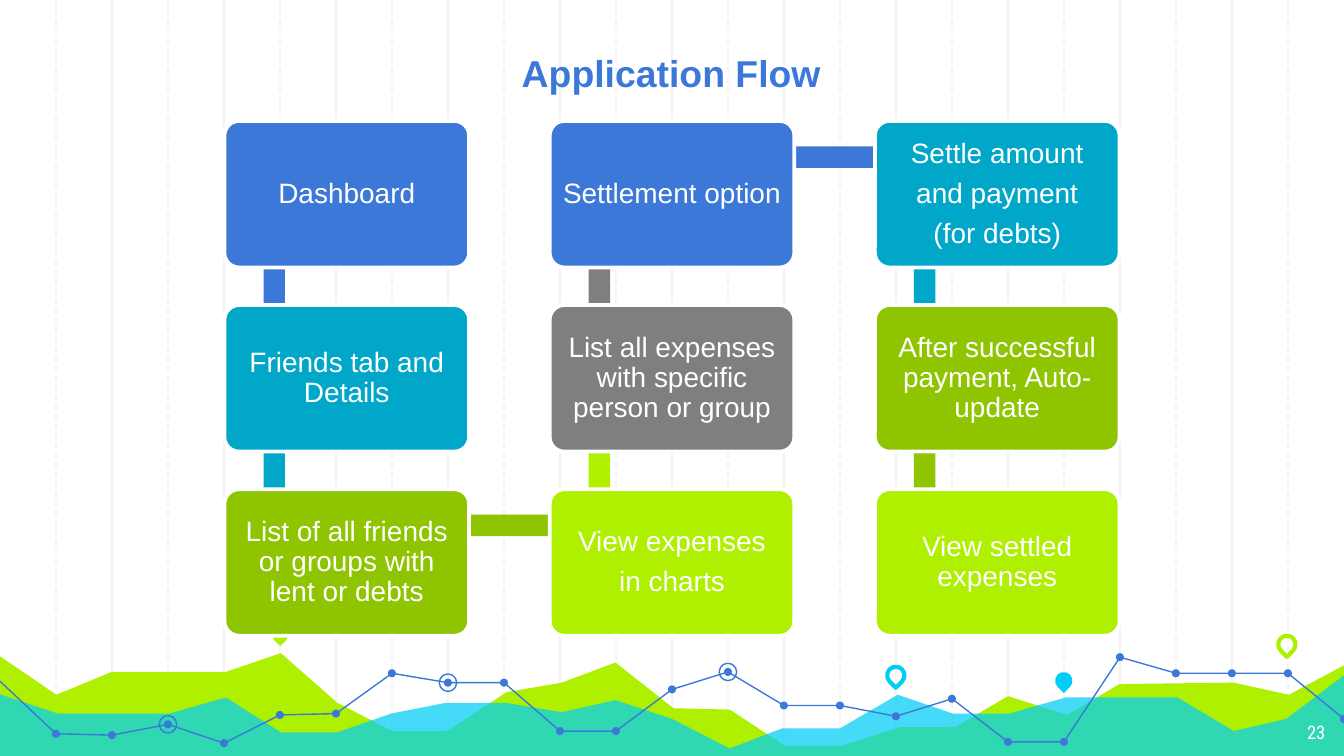
from typing import NamedTuple, Optional

from lxml import etree
from pptx import Presentation
from pptx import util as u
from pptx.dml.color import RGBColor
from pptx.enum import dml, shapes, text
from pptx.oxml.ns import qn

BLUE = RGBColor(0x3C, 0x78, 0xD8)
TEAL = RGBColor(0x00, 0xA7, 0xC8)
CYAN = RGBColor(0x00, 0xCE, 0xF6)
GREEN = RGBColor(0x8E, 0xC4, 0x00)
LIME = RGBColor(0xAF, 0xF0, 0x00)
GRAY = RGBColor(0x7F, 0x7F, 0x7F)
GRID = RGBColor(0xF3, 0xF3, 0xF3)
WHITE = RGBColor(0xFF, 0xFF, 0xFF)

SLIDE_WIDTH = 10
SLIDE_HEIGHT = SLIDE_WIDTH * 9 / 16
GRID_STEP = SLIDE_WIDTH / 24
GRID_HEIGHT = 5.65
BOX_WIDTH, BOX_HEIGHT = 1.82, 1.09
LEFT, TOP = 1.67, 0.9
COLUMN_STEP, ROW_STEP = 2.42, 1.37
BAR_THICKNESS = 0.16
BAR_OFFSET_X, BAR_OFFSET_Y = 0.37, 0.27  # bar end, from a box's corner


class Step(NamedTuple):
    column: int
    row: int
    color: RGBColor
    label: str

    @property
    def left(self) -> float:
        return LEFT + self.column * COLUMN_STEP

    @property
    def top(self) -> float:
        return TOP + self.row * ROW_STEP


class Pin(NamedTuple):
    left: float
    top: float
    color: RGBColor
    filled: bool


# In flow order: down the first column, up the second, down the third
STEPS = [
    Step(0, 0, BLUE, "Dashboard"),
    Step(0, 1, TEAL, "Friends tab and Details"),
    Step(0, 2, GREEN, "List of all friends or groups with lent or debts"),
    Step(1, 2, LIME, "View expenses\nin charts"),
    Step(1, 1, GRAY, "List all expenses with specific person or group"),
    Step(1, 0, BLUE, "Settlement option"),
    Step(2, 0, TEAL, "Settle amount\nand payment\n(for debts)"),
    Step(2, 1, GREEN, "After successful payment, Auto-update"),
    Step(2, 2, LIME, "View settled expenses"),
]
PINS = [
    Pin(2.02, 4.65, LIME, True),
    Pin(6.6, 4.96, CYAN, False),
    Pin(7.85, 5, CYAN, True),
    Pin(9.51, 4.73, LIME, False),
]
LIME_HILLS = [
    (-0.02, 4.87), (0.42, 5.17), (0.83, 5), (1.68, 5), (2.09, 4.86), (2.51, 5.23),
    (2.92, 5.44), (3.33, 5.44), (3.77, 5.15), (4.18, 5.08), (4.58, 4.93), (5.01, 5.27),
    (5.43, 5.28), (5.84, 5.55), (6.26, 5.55), (6.7, 5.41), (7.11, 5.41), (7.5, 5.18),
    (7.94, 5.32), (8.33, 5.09), (9.18, 5.08), (9.59, 5.17), (10.02, 4.94),
    (10.01, 5.64), (-0.03, 5.64),
]
CYAN_HILLS = [
    (-0.02, 5.16), (0.43, 5.31), (1.26, 5.31), (1.68, 5.19), (2.09, 5.45), (2.51, 5.45),
    (2.91, 5.31), (3.32, 5.23), (3.76, 5.23), (4.18, 5.3), (4.58, 5.21), (5, 5.35),
    (5.43, 5.57), (5.82, 5.42), (6.25, 5.42), (6.68, 5.17), (7.09, 5.31), (7.51, 5.31),
    (7.93, 5.19), (8.76, 5.19), (9.18, 5.44), (9.57, 5.35), (10.02, 5.01),
    (10.02, 5.65), (-0.03, 5.65),
]
TREND_HEIGHTS = [
    5.46, 5.47, 5.39, 5.53, 5.32, 5.31, 5.01, 5.08, 5.08, 5.44, 5.44, 5.13,
    5, 5.25, 5.25, 5.33, 5.2, 5.52, 5.52, 4.89, 5.01, 5.01, 5.01, 5.35,
]
RINGED = [2, 7, 12]


def paint(shape, fill: Optional[RGBColor] = None,
          line: Optional[RGBColor] = None, width: float = 0.75) -> None:
    shape.shadow.inherit = False
    if fill is None:
        shape.fill.background()
    else:
        shape.fill.solid()
        shape.fill.fore_color.rgb = fill
    if line is None:
        shape.line.fill.background()
    else:
        shape.line.color.rgb = line
        shape.line.width = u.Pt(width)


def add_preset(slide, kind, left: float, top: float, width: float, height: float):
    return slide.shapes.add_shape(
        kind, u.Inches(left), u.Inches(top), u.Inches(width), u.Inches(height))


def add_outline(slide, points: list, closed: bool):
    lengths = [(u.Inches(x), u.Inches(y)) for x, y in points]
    builder = slide.shapes.build_freeform(*lengths[0])
    builder.add_line_segments(lengths[1:], close=closed)
    return builder.convert_to_shape()


def add_grid_line(slide, x: float, dashed: bool) -> None:
    line = slide.shapes.add_connector(
        shapes.MSO_CONNECTOR.STRAIGHT, u.Inches(x), 0, u.Inches(x), u.Inches(GRID_HEIGHT))
    line.line.color.rgb = GRID
    line.line.width = u.Pt(0.75)
    if dashed:
        line.line.dash_style = dml.MSO_LINE.DASH
    etree.SubElement(line._element.spPr, qn("a:effectLst"))


def add_circle(slide, center: tuple, size: float, **colors) -> None:
    x, y = center
    circle = add_preset(slide, shapes.MSO_SHAPE.OVAL, x - size / 2, y - size / 2, size, size)
    paint(circle, **colors)


def add_pin(slide, pin: Pin) -> None:
    shape = add_preset(slide, shapes.MSO_SHAPE.TEAR, pin.left, pin.top, 0.13, 0.13)
    shape.rotation = 135
    if pin.filled:
        paint(shape, fill=pin.color)
    else:
        paint(shape, line=pin.color, width=2.25)


def add_bar(slide, start: Step, end: Step) -> None:
    center_x = (start.left + end.left) / 2 + BAR_OFFSET_X
    center_y = (start.top + end.top) / 2 + BAR_OFFSET_Y
    length = abs(end.left - start.left) + abs(end.top - start.top)
    bar = add_preset(slide, shapes.MSO_SHAPE.RECTANGLE, center_x - length / 2,
                     center_y - BAR_THICKNESS / 2, length, BAR_THICKNESS)
    if start.column == end.column:
        bar.rotation = 90 if end.row > start.row else 270
    paint(bar, fill=start.color)


def format_text(frame, size: float, font: str, color: RGBColor, alignment,
                inset: float, bold: bool = False) -> None:
    frame.word_wrap = True
    frame.margin_left = frame.margin_right = u.Inches(inset)
    frame.margin_top = frame.margin_bottom = u.Inches(inset)
    for paragraph in frame.paragraphs:
        paragraph.alignment = alignment
        for run in paragraph.runs:
            run.font.size = u.Pt(size)
            run.font.name = font
            run.font.bold = bold
            run.font.color.rgb = color


def add_step(slide, step: Step) -> None:
    box = add_preset(slide, shapes.MSO_SHAPE.ROUNDED_RECTANGLE,
                     step.left, step.top, BOX_WIDTH, BOX_HEIGHT)
    box.adjustments[0] = 0.1
    paint(box, fill=step.color, line=WHITE, width=2)
    frame = box.text_frame
    frame.text = step.label
    frame.vertical_anchor = text.MSO_ANCHOR.MIDDLE
    format_text(frame, 15, "Arial", WHITE, text.PP_ALIGN.CENTER, 0.06)
    for paragraph in frame.paragraphs:
        paragraph.line_spacing = 0.9
        paragraph.space_after = u.Pt(5.25)


def add_backdrop(slide) -> None:
    # Grid: solid and dashed lines in turn
    for index in range(1, 24):
        add_grid_line(slide, index * GRID_STEP, dashed=index % 2 == 1)

    # Hills
    paint(add_outline(slide, LIME_HILLS, closed=True), fill=LIME)
    cyan_hills = add_outline(slide, CYAN_HILLS, closed=True)
    paint(cyan_hills, fill=CYAN)
    color = cyan_hills._element.spPr.find(qn("a:solidFill"))[0]
    etree.SubElement(color, qn("a:alpha"), val="73000")

    # Trend line with its dots, rings and pins
    points = [((i + 1) * GRID_STEP, y) for i, y in enumerate(TREND_HEIGHTS)]
    for part in ([(-0.01, 5.06)] + points[:11], points[10:20], points[19:]):
        paint(add_outline(slide, part, closed=False), line=BLUE)
    for point in points:
        add_circle(slide, point, 0.06, fill=BLUE)
    for index in RINGED:
        add_circle(slide, points[index], 0.13, line=BLUE)
    for pin in PINS:
        add_pin(slide, pin)


def main() -> None:
    presentation = Presentation()
    presentation.slide_width = u.Inches(SLIDE_WIDTH)
    presentation.slide_height = u.Inches(SLIDE_HEIGHT)
    slide = presentation.slides.add_slide(presentation.slide_layouts[5])
    add_backdrop(slide)

    # Title, brought in front of the backdrop
    title = slide.shapes.title
    title._element.getparent().append(title._element)
    title.left, title.top = u.Inches(1.17), u.Inches(0.36)
    title.width, title.height = u.Inches(7.65), u.Inches(0.45)
    title.text_frame.text = "Application Flow"
    title.text_frame.vertical_anchor = text.MSO_ANCHOR.BOTTOM
    format_text(title.text_frame, 20, "Arial", BLUE, text.PP_ALIGN.CENTER, 0.1, bold=True)

    # Slide number
    number = slide.shapes.add_textbox(
        u.Inches(9.36), u.Inches(5.28), u.Inches(0.6), u.Inches(0.35))
    number.text_frame.text = "23"
    format_text(number.text_frame, 10, "Roboto Condensed", WHITE, text.PP_ALIGN.RIGHT, 0.1)

    # Flow: bars behind the boxes
    for start, end in zip(STEPS, STEPS[1:]):
        add_bar(slide, start, end)
    for step in STEPS:
        add_step(slide, step)

    presentation.save("out.pptx")


if __name__ == "__main__":
    main()
